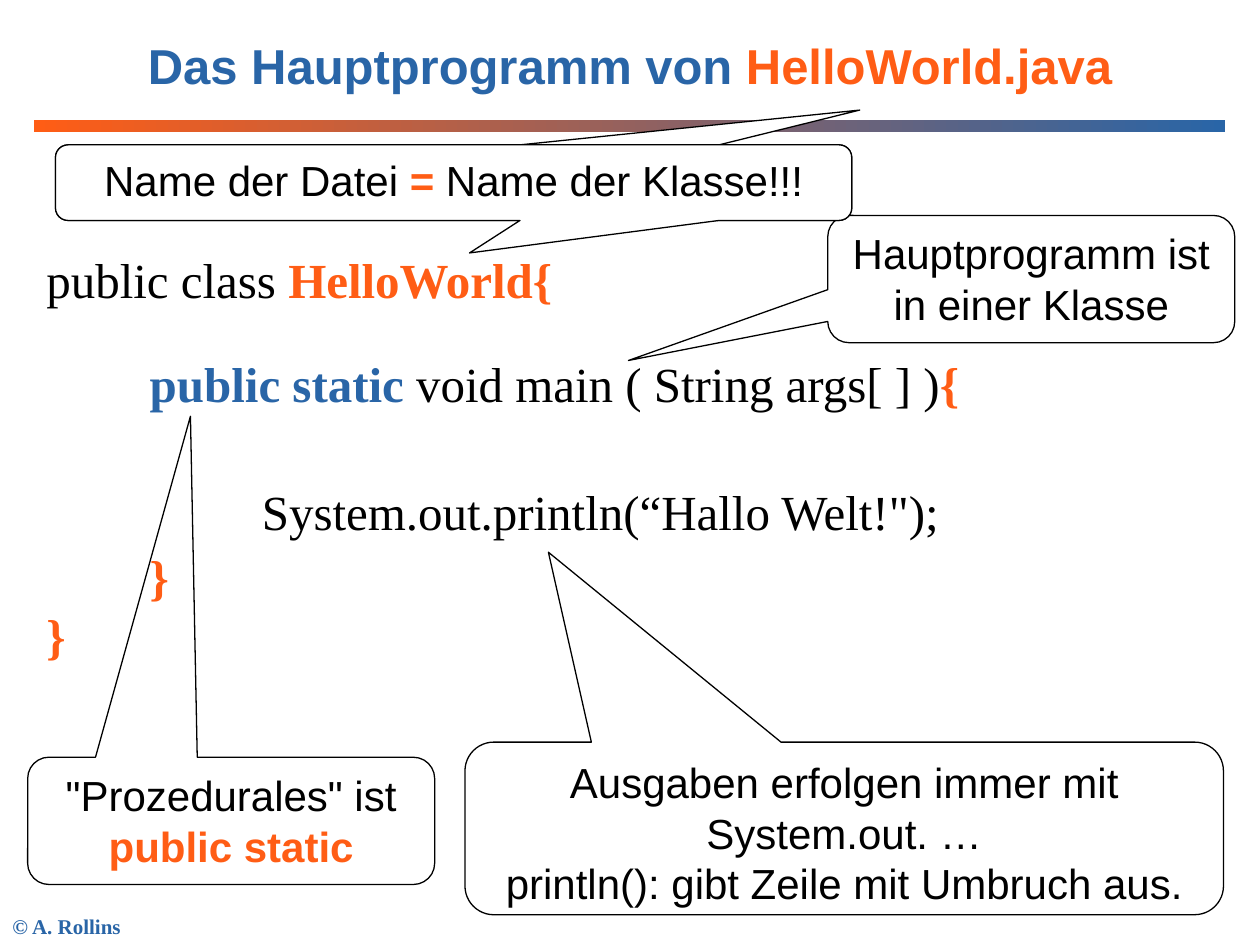
from dataclasses import dataclass

import pptx
import pptx.dml.color
import pptx.enum.shapes
import pptx.enum.text
import pptx.util
from pptx.util import Inches

ORANGE, BLUE, BLACK, WHITE = "FF5D15", "2965A7", "000000", "FFFFFF"
SANS, SERIF = "Arial", "Times New Roman"
ALIGN = pptx.enum.text.PP_ALIGN
ANCHOR = pptx.enum.text.MSO_ANCHOR
SHAPE = pptx.enum.shapes.MSO_SHAPE


@dataclass
class Run:
    text: str
    color: str = BLACK
    bold: bool = False


@dataclass
class Line:
    runs: list[Run]
    space_before: float = 0
    indent: float = 0


@dataclass
class Callout:
    box: tuple[float, float, float, float]
    tip: tuple[float, float]
    lines: list[Line]
    filled: bool = True


def rgb(color: str) -> pptx.dml.color.RGBColor:
    return pptx.dml.color.RGBColor.from_string(color)


def write(frame, lines: list[Line], *, size: float, font: str,
          align=ALIGN.LEFT, anchor=ANCHOR.TOP, spacing: float = 1.0) -> None:
    frame.word_wrap = True
    frame.vertical_anchor = anchor
    for number, line in enumerate(lines):
        paragraph = frame.add_paragraph() if number else frame.paragraphs[0]
        paragraph.alignment = align
        paragraph.line_spacing = spacing
        paragraph.space_before = pptx.util.Pt(line.space_before)
        if line.indent:
            paragraph._p.get_or_add_pPr().set("marL", str(Inches(line.indent)))
        for part in line.runs:
            run = paragraph.add_run()
            run.text = part.text
            run.font.name = font
            run.font.size = pptx.util.Pt(size)
            run.font.bold = part.bold
            run.font.color.rgb = rgb(part.color)


def add_text(slide, box: tuple, lines: list[Line], **text_format) -> None:
    area = slide.shapes.add_textbox(*map(Inches, box))
    write(area.text_frame, lines, **text_format)


def add_rule(slide) -> None:
    rule = slide.shapes.add_shape(SHAPE.RECTANGLE, *map(Inches, (0.27, 0.95, 9.45, 0.1)))
    rule.shadow.inherit = False
    rule.line.fill.background()
    rule.fill.gradient()
    rule.fill.gradient_angle = 0
    for stop, color in zip(rule.fill.gradient_stops, (ORANGE, BLUE)):
        stop.color.rgb = rgb(color)


def add_callout(slide, callout: Callout) -> None:
    bubble = slide.shapes.add_shape(SHAPE.ROUNDED_RECTANGULAR_CALLOUT,
                                    *map(Inches, callout.box))
    bubble.shadow.inherit = False
    for index, value in enumerate((*callout.tip, 0.16667)):
        bubble.adjustments[index] = value
    if callout.filled:
        bubble.fill.solid()
        bubble.fill.fore_color.rgb = rgb(WHITE)
    else:
        bubble.fill.background()
    bubble.line.color.rgb = rgb(BLACK)
    bubble.line.width = pptx.util.Pt(0.75)
    write(bubble.text_frame, callout.lines, size=24, font=SANS, align=ALIGN.CENTER)


FILE_NAME_BOX = (0.44, 1.15, 6.32, 0.6)
CALLOUTS = [
    Callout((3.69, 5.89, 6.02, 1.37), (-0.39, -1.6), [
        Line([Run("Ausgaben erfolgen immer mit System.out. …")]),
        Line([Run("println(): gibt Zeile mit Umbruch aus.")]),
    ]),
    Callout((6.57, 1.71, 3.23, 1.01), (-0.99, 0.64),
            [Line([Run("Hauptprogramm ist in einer Klasse")])]),
    # The file name callout has two tips: one to the title, one to the class
    Callout(FILE_NAME_BOX, (0.51, -0.96), []),
    Callout(FILE_NAME_BOX, (0.02, 0.93), [
        Line([Run("Name der Datei "), Run("=", ORANGE, True), Run(" Name der Klasse!!!")]),
    ]),
    Callout((0.22, 6.01, 3.23, 1.01), (-0.1, -3.18), [
        Line([Run('"Prozedurales" ist '), Run("public static", ORANGE, True)]),
    ], filled=False),
]

CLASS_CODE = [
    Line([Run("public class "), Run("HelloWorld{", ORANGE, True)]),
    Line([Run("}", ORANGE, True)], space_before=170),
]
MAIN_CODE = [
    Line([Run("public static ", BLUE, True), Run("void main ( String args[ ] )"),
          Run("{", ORANGE, True)]),
    Line([Run('System.out.println(“Hallo Welt!");')], space_before=43, indent=0.89),
    Line([Run("}", ORANGE, True)], space_before=7),
]
TITLE = [Line([Run("Das Hauptprogramm von ", BLUE, True),
               Run("HelloWorld.java", ORANGE, True)])]
COPYRIGHT = [Line([Run("© A. Rollins", BLUE, True)])]


def main() -> None:
    deck = pptx.Presentation()
    deck.slide_width, deck.slide_height = Inches(10), Inches(7.5)
    slide = deck.slides.add_slide(deck.slide_layouts[6])

    add_rule(slide)
    add_text(slide, (0, 7.2, 1.46, 0.3), COPYRIGHT, size=12, font=SERIF)
    add_text(slide, (0.27, 1.93, 6.75, 3.4), CLASS_CODE, size=28, font=SERIF)
    add_text(slide, (0.75, 0, 8.5, 1.03), TITLE, size=28, font=SANS,
             align=ALIGN.CENTER, anchor=ANCHOR.MIDDLE)
    add_text(slide, (1.09, 2.81, 8.5, 3.25), MAIN_CODE, size=28, font=SERIF, spacing=0.9)
    for callout in CALLOUTS:
        add_callout(slide, callout)

    deck.save("out.pptx")


if __name__ == "__main__":
    main()
